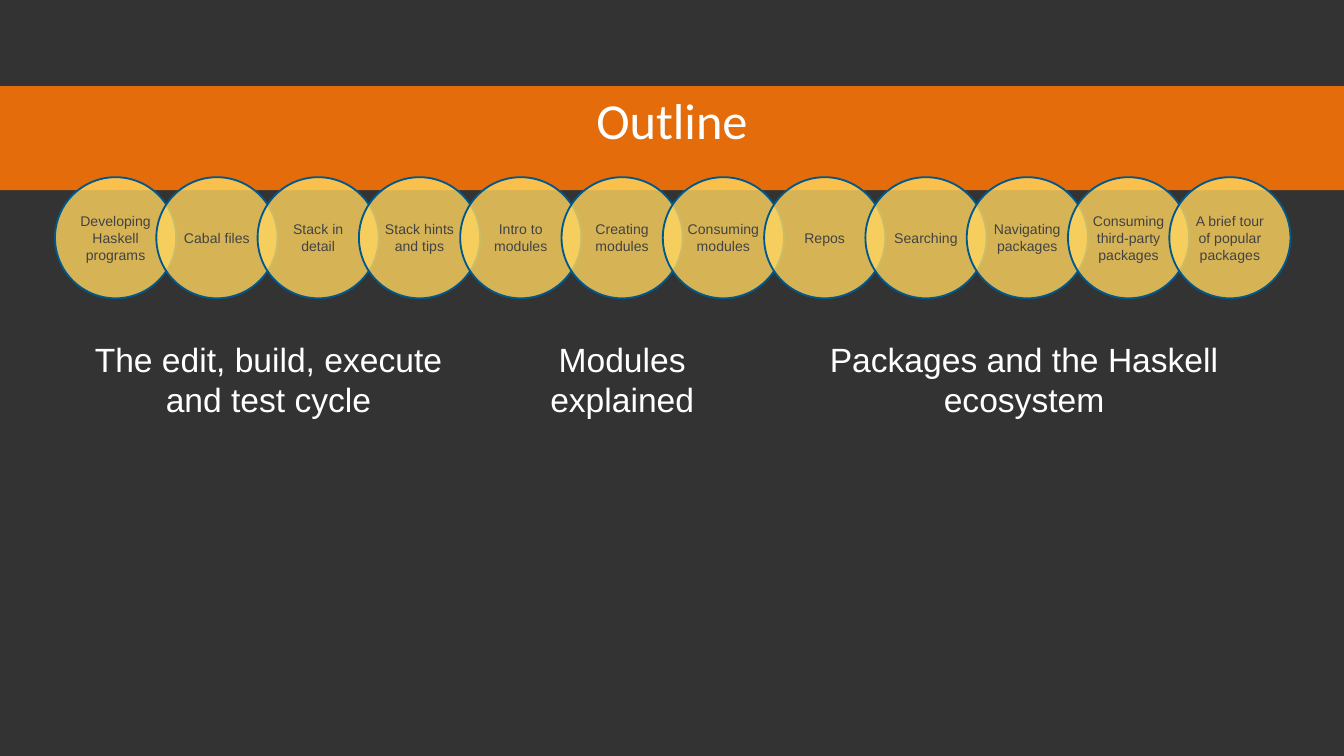
from lxml.etree import SubElement
from pptx import Presentation
from pptx.dml.color import RGBColor
from pptx.enum.shapes import MSO_SHAPE as Shape
from pptx.enum.text import MSO_ANCHOR as Anchor, MSO_AUTO_SIZE as AutoSize, PP_ALIGN as Align
from pptx.oxml.ns import qn
from pptx.util import Cm, Pt

COLORS = {
    "background": "333333",
    "banner": "E46C0A",
    "circle": "FFD55F",
    "outline": "01588C",
    "topic": "424242",
    "light": "FFFFFF",
}
TOPICS = [
    "Developing Haskell programs",
    "Cabal files",
    "Stack in detail",
    "Stack hints and tips",
    "Intro to modules",
    "Creating modules",
    "Consuming modules",
    "Repos",
    "Searching",
    "Navigating packages",
    "Consuming third-party packages",
    "A brief tour of popular packages",
]
SECTIONS = [
    ("The edit, build, execute and test cycle", 1.47, 7.21),
    ("Modules explained", 9.07, 5.38),
    ("Packages and the Haskell ecosystem", 14.81, 9.09),
]
FIRST_LEFT, LAST_LEFT = 1.04, 22.1
CIRCLE_TOP, CIRCLE_SIZE = 3.35, 2.29


def color(name):
    return RGBColor.from_string(COLORS[name])


def fill_solid(fill, name):
    fill.solid()
    fill.fore_color.rgb = color(name)


def set_text(shape, text, size, color_name, font="Arial", anchor=Anchor.TOP, insets=(0.25, 0.13)):
    frame = shape.text_frame
    frame.text = text
    frame.word_wrap = True
    frame.vertical_anchor = anchor
    frame.margin_left = frame.margin_right = Cm(insets[0])
    frame.margin_top = frame.margin_bottom = Cm(insets[1])
    paragraph = frame.paragraphs[0]
    paragraph.alignment = Align.CENTER
    paragraph.font.name = font
    paragraph.font.size = Pt(size)
    paragraph.font.color.rgb = color(color_name)


def add_banner(slide, text, width):
    title = slide.shapes.title
    title.left, title.top, title.width, title.height = 0, Cm(1.63), width, Cm(1.27)
    fill_solid(title.fill, "banner")
    set_text(title, text, 27, "light", font="Calibri", insets=(0.13, 0.05))
    title.text_frame.auto_size = AutoSize.SHAPE_TO_FIT_TEXT


def add_topic(slide, text, left):
    circle = slide.shapes.add_shape(
        Shape.OVAL, Cm(left), Cm(CIRCLE_TOP), Cm(CIRCLE_SIZE), Cm(CIRCLE_SIZE))
    circle.shadow.inherit = False
    fill_solid(circle.fill, "circle")
    fill_color = circle.fill._xPr.find(qn("a:solidFill"))[0]
    SubElement(fill_color, qn("a:alpha"), val="80000")
    circle.line.color.rgb = color("outline")
    circle.line.width = Pt(1)
    set_text(circle, text, 7.5, "topic", anchor=Anchor.MIDDLE, insets=(0.1, 0.13))


def add_section(slide, text, left, width):
    box = slide.shapes.add_textbox(Cm(left), Cm(6.27), Cm(width), Cm(1.8))
    set_text(box, text, 18, "light")
    box.text_frame.auto_size = AutoSize.SHAPE_TO_FIT_TEXT


def main():
    presentation = Presentation()
    presentation.slide_width = Cm(25.4)
    presentation.slide_height = Cm(14.29)
    slide = presentation.slides.add_slide(presentation.slide_layouts.get_by_name("Title Only"))
    fill_solid(slide.background.fill, "background")
    add_banner(slide, "Outline", presentation.slide_width)
    pitch = (LAST_LEFT - FIRST_LEFT) / (len(TOPICS) - 1)
    for index, topic in enumerate(TOPICS):
        add_topic(slide, topic, FIRST_LEFT + index * pitch)
    for text, left, width in SECTIONS:
        add_section(slide, text, left, width)
    presentation.save("out.pptx")


if __name__ == "__main__":
    main()
